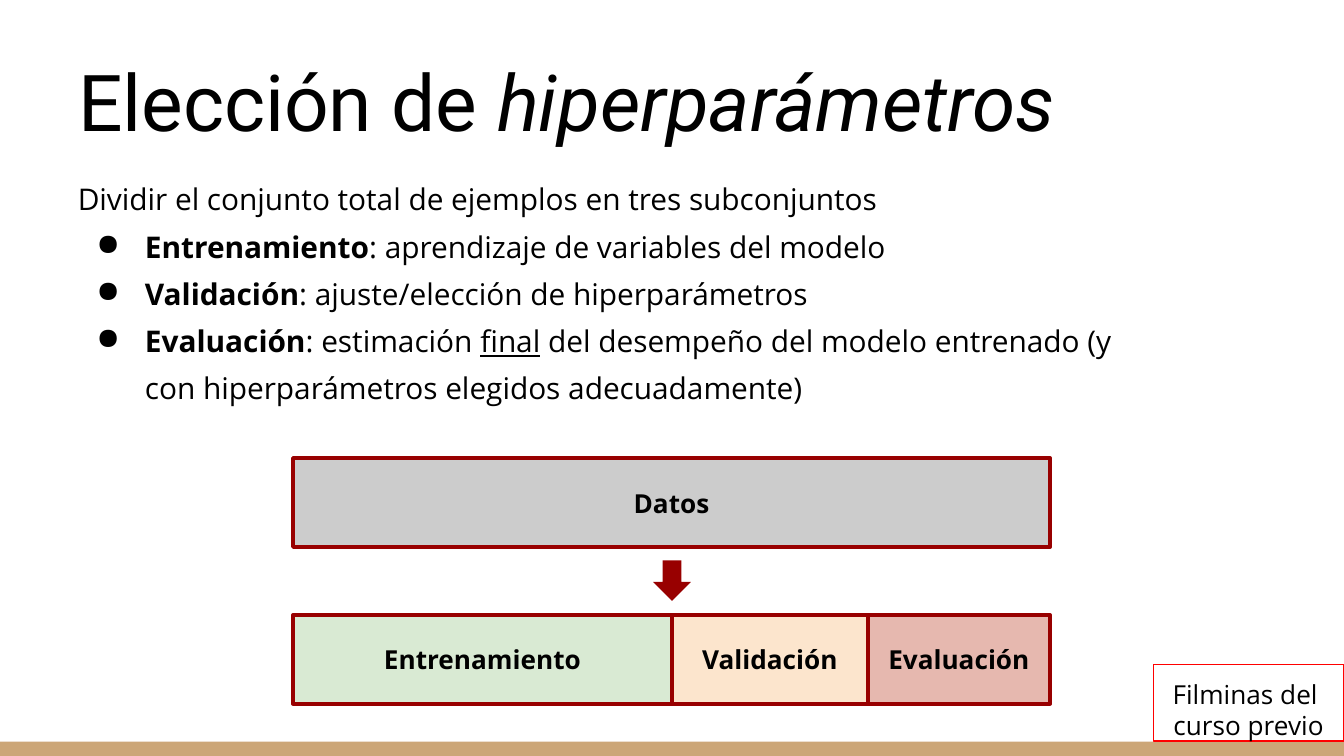
from dataclasses import dataclass

from lxml.etree import SubElement
from pptx import Presentation
from pptx.dml.color import RGBColor as Color
from pptx.enum.shapes import MSO_SHAPE as Shape
from pptx.enum.text import MSO_ANCHOR as Anchor, MSO_AUTO_SIZE as AutoSize, PP_ALIGN as Align
from pptx.oxml.ns import qn
from pptx.util import Pt


@dataclass(frozen=True)
class Theme:
    ink: str = "000000"
    edge: str = "980000"
    alert: str = "FF0000"
    strip: str = "CCA677"
    data: str = "CCCCCC"
    training: str = "D9EAD3"
    validation: str = "FCE5CD"
    evaluation: str = "E6B8AF"
    title_font: str = "Roboto"
    body_font: str = "Open Sans"
    title_size: float = 42
    body_size: float = 16
    label_size: float = 14
    inset: float = 7.2


class SlideBuilder:
    def __init__(self, page, theme):
        self.page = page
        self.theme = theme

    def frame(self, shape, anchor=Anchor.TOP):
        frame = shape.text_frame
        frame.word_wrap = True
        frame.auto_size = AutoSize.NONE
        frame.vertical_anchor = anchor
        inset = Pt(self.theme.inset)
        frame.margin_left = frame.margin_right = inset
        frame.margin_top = frame.margin_bottom = inset
        return frame

    def add_spans(self, para, spans, size, font, align=Align.LEFT):
        para.alignment = align
        for text, style in spans:
            span = para.add_run()
            span.text = text
            span.font.name = font
            span.font.size = Pt(size)
            span.font.color.rgb = Color.from_string(self.theme.ink)
            span.font.bold = "b" in style
            span.font.italic = "i" in style
            span.font.underline = "u" in style

    def fill_paragraphs(self, frame, lines, size, font, align=Align.LEFT):
        for index, spans in enumerate(lines):
            para = frame.add_paragraph() if index else frame.paragraphs[0]
            self.add_spans(para, spans, size, font, align)

    def title(self, spans, left, top, width, height):
        box = self.page.shapes.title
        box.left, box.top, box.width, box.height = Pt(left), Pt(top), Pt(width), Pt(height)
        self.fill_paragraphs(self.frame(box), [spans], self.theme.title_size, self.theme.title_font)

    def bullet(self, para):
        props = para._p.get_or_add_pPr()
        props.set("marL", str(Pt(36)))
        props.set("indent", str(-Pt(26)))
        SubElement(props, qn("a:buChar"), char="●")

    def body(self, intro, items, left, top, width, height):
        box = self.page.shapes.add_textbox(Pt(left), Pt(top), Pt(width), Pt(height))
        frame = self.frame(box)
        self.fill_paragraphs(frame, [intro, *items], self.theme.body_size, self.theme.body_font)
        for para in frame.paragraphs[1:]:
            para.line_spacing = 1.32
            self.bullet(para)

    def shape(self, kind, left, top, width, height, fill=None, line=None, weight=2.25):
        shape = self.page.shapes.add_shape(kind, Pt(left), Pt(top), Pt(width), Pt(height))
        shape.shadow.inherit = False
        if fill:
            shape.fill.solid()
            shape.fill.fore_color.rgb = Color.from_string(fill)
        else:
            shape.fill.background()
        if line:
            shape.line.color.rgb = Color.from_string(line)
            shape.line.width = Pt(weight)
        else:
            shape.line.fill.background()
        return shape

    def labelled(self, shape, lines, style="", anchor=Anchor.MIDDLE):
        self.fill_paragraphs(
            self.frame(shape, anchor),
            [[(line, style)] for line in lines],
            self.theme.label_size,
            self.theme.body_font,
            Align.CENTER,
        )

    def block(self, label, left, top, width, height, fill):
        shape = self.shape(Shape.RECTANGLE, left, top, width, height, fill, self.theme.edge)
        self.labelled(shape, [label], "b")

    def down_arrow(self, left, top, width, height):
        arrow = self.shape(Shape.RIGHT_ARROW, left, top, width, height, self.theme.edge)
        arrow.rotation = 90

    def note(self, lines, left, top, width, height):
        shape = self.shape(
            Shape.RECTANGLE, left, top, width, height, line=self.theme.alert, weight=0.75
        )
        self.labelled(shape, lines, anchor=Anchor.TOP)


def main():
    theme = Theme()
    deck = Presentation()
    deck.slide_width, deck.slide_height = Pt(720), Pt(405)
    page = deck.slides.add_slide(deck.slide_layouts[5])
    builder = SlideBuilder(page, theme)

    builder.shape(Shape.RECTANGLE, 0, 397.3, 720, 7.7, theme.strip)
    builder.title([("Elección de ", ""), ("hiperparámetros", "i")], 34.6, 21, 579, 64)
    builder.body(
        [("Dividir el conjunto total de ejemplos en tres subconjuntos", "")],
        [
            [("Entrenamiento", "b"), (": aprendizaje de variables del modelo", "")],
            [("Validación", "b"), (": ajuste/elección de hiperparámetros", "")],
            [
                ("Evaluación", "b"),
                (": estimación ", ""),
                ("final", "u"),
                (
                    " del desempeño del modelo entrenado "
                    "(y con hiperparámetros elegidos adecuadamente)",
                    "",
                ),
            ],
        ],
        34.6, 89.8, 579, 152,
    )

    subsets = [
        ("Entrenamiento", 203, theme.training),
        ("Validación", 105, theme.validation),
        ("Evaluación", 97.5, theme.evaluation),
    ]
    left, block_height = 157, 47.5
    total = sum(width for _, width, _ in subsets)
    builder.block("Datos", left, 245.5, total, block_height, theme.data)
    for label, width, fill in subsets:
        builder.block(label, left, 329.5, width, block_height, fill)
        left += width
    builder.down_arrow(349.2, 301, 21.6, 20.2)
    builder.note(["Filminas del ", "curso previo"], 617.8, 356, 102.2, 41)

    deck.save("out.pptx")


if __name__ == "__main__":
    main()
